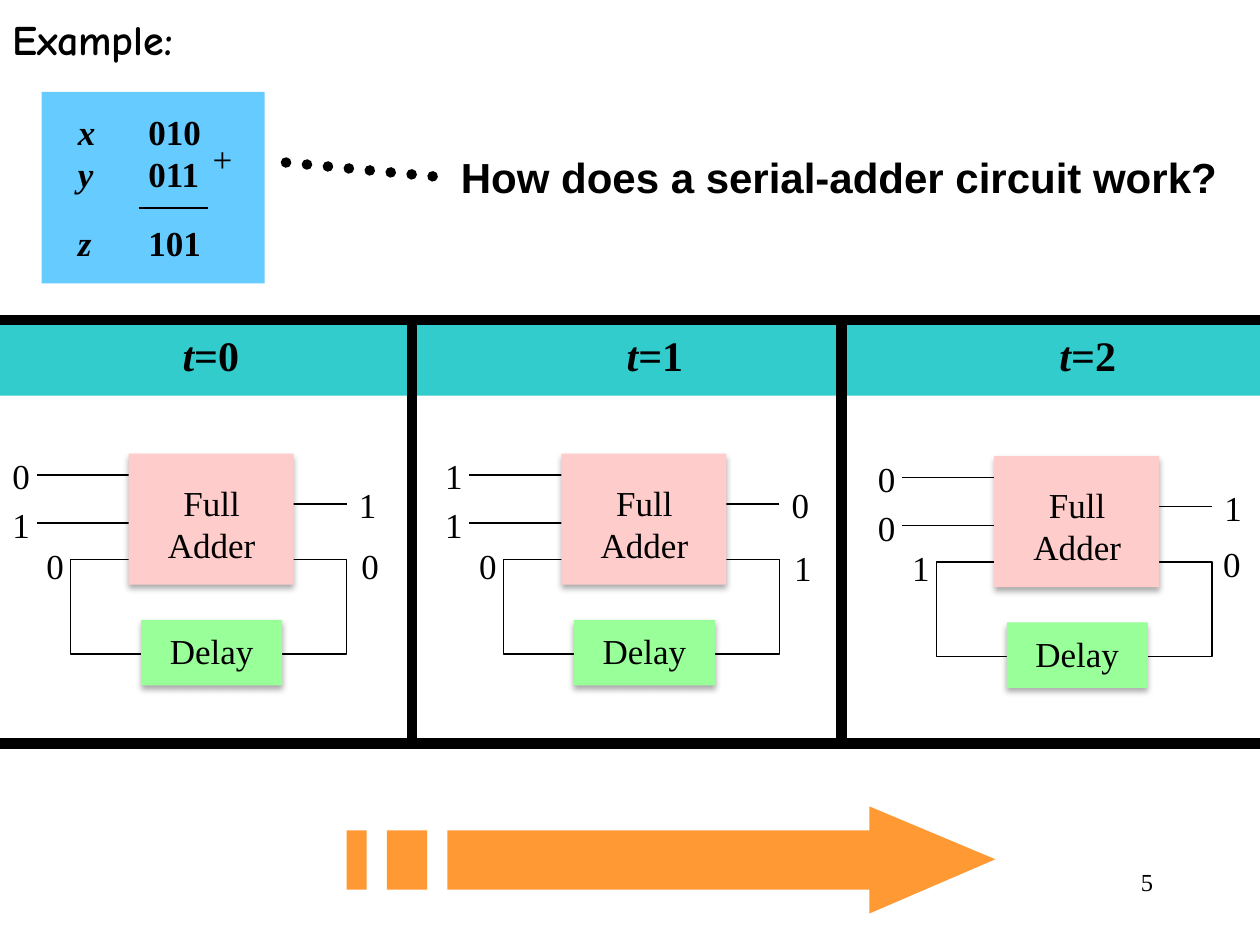
"""Build a slide that traces a serial adder through three clock steps."""
from lxml import etree
from pptx import Presentation
from pptx import util as u
from pptx.dml.color import RGBColor
from pptx.enum import shapes, text
from pptx.oxml import parse_xml
from pptx.oxml.ns import nsdecls, qn

THEME = {
    "ink": "000000", "header": "33CCCC", "sum": "66CCFF", "adder": "FFCCCC",
    "delay": "99FF99", "arrow": "FF9933",
    "serif": "Times New Roman", "sans": "Arial", "comic": "Comic Neue",
    "head": 24, "body": 20, "small": 14, "thin": 0.75, "thick": 6,
}
WIDTH, HEIGHT = 10, 7.5
PITCH = 3.435
TOP, BOTTOM = 2.54, 5.9
DIVIDERS = (3.27, 6.68)
DIGIT = (0.34, 0.43)

SUM_ROWS = [("x", "010", 1), ("y", "011", 1), ("z", "101", 1.64)]
STEPS = [
    dict(inputs="01", total="1", carry_in="0", carry_out="0", title_x=1.35, drop=0, carry_at=(2.77, 4.27)),
    dict(inputs="11", total="0", carry_in="0", carry_out="1", title_x=1.44, drop=0, carry_at=(2.77, 4.29)),
    dict(inputs="00", total="1", carry_in="1", carry_out="0", title_x=1.44, drop=0.02, carry_at=(2.74, 4.24)),
]
WIRES = [(0.29, 1.6, 3.77), (0.29, 1.6, 4.15), (1.43, 2.75, 4)]
ARROW = [
    [(6.9, 6.4), (6.9, 6.59), (3.55, 6.59), (3.55, 7.06), (6.9, 7.06), (6.9, 7.25), (7.9, 6.82)],
    [(3.07, 6.59), (3.07, 7.06), (3.39, 7.06), (3.39, 6.59)],
    [(2.75, 6.59), (2.75, 7.06), (2.91, 7.06), (2.91, 6.59)],
]


def inches(*values):
    return [u.Inches(value) for value in values]


def color(name):
    return RGBColor.from_string(THEME[name])


def add_text(paras, left, top, width, height, font="serif", size="body", bold=False,
             align="LEFT", wrap=False, spacings=(), tab=None):
    """Add a text box; each paragraph is a list of (words, italic) spans."""
    box = page.shapes.add_textbox(*inches(left, top, width, height))
    frame = box.text_frame
    frame.word_wrap = wrap
    frame.auto_size = text.MSO_AUTO_SIZE.SHAPE_TO_FIT_TEXT
    for index, spans in enumerate([(paras, False)] if isinstance(paras, str) else paras):
        para = frame.add_paragraph() if index else frame.paragraphs[0]
        para.alignment = getattr(text.PP_ALIGN, align)
        if spacings:
            para.line_spacing = float(spacings[index])
        if tab:
            stops = etree.SubElement(para._p.get_or_add_pPr(), qn("a:tabLst"))
            etree.SubElement(stops, qn("a:tab"), pos=str(u.Inches(tab)), algn="l")
        for words, italic in [spans] if isinstance(spans, tuple) else spans:
            span = para.add_run()
            span.text = words
            span.font.name, span.font.size = THEME[font], u.Pt(THEME[size])
            span.font.bold, span.font.italic = bold, italic
            span.font.color.rgb = color("ink")
    return box


def paint(shape, fill):
    shape.shadow.inherit = False
    shape.line.fill.background()
    shape.fill.solid()
    shape.fill.fore_color.rgb = color(fill)


def add_box(left, top, width, height, fill=None, shadow=False):
    box = page.shapes.add_shape(shapes.MSO_SHAPE.RECTANGLE, *inches(left, top, width, height))
    if fill:
        paint(box, fill)
    else:
        box.shadow.inherit = False
        box.fill.background()
        box.line.color.rgb = color("ink")
        box.line.width = u.Pt(THEME["thin"])
    if shadow:
        box._element.spPr.find(qn("a:effectLst")).append(parse_xml(
            f'<a:outerShdw {nsdecls("a")} blurRad="{u.Pt(3.5)}" dist="{u.Pt(2.2)}" dir="5400000" '
            f'rotWithShape="0"><a:srgbClr val="{THEME["ink"]}"><a:alpha val="32000"/></a:srgbClr></a:outerShdw>'))


def add_line(x1, y1, x2, y2, weight="thin", dotted=False):
    line = page.shapes.add_connector(shapes.MSO_CONNECTOR.STRAIGHT, *inches(x1, y1, x2, y2))
    line.line.color.rgb = color("ink")
    line.line.width = u.Pt(THEME[weight])
    if dotted:
        stroke = line.line._get_or_add_ln()
        stroke.set("cap", "rnd")
        etree.SubElement(stroke, qn("a:prstDash"), val="sysDot")
    etree.SubElement(line._element.spPr, qn("a:effectLst"))


def add_step(number, step):
    x, y = PITCH * number, step["drop"]
    add_box(x + 0.56, y + 4.44, 2.19, 0.75)
    for start, end, level in WIRES:
        add_line(x + end, y + level, x + start, y + level)
    add_box(x + 1.12, y + 4.92, 1.12, 0.52, "delay", shadow=True)
    add_text("Delay", x + 1.2, y + 4.95, 0.96, 0.43, align="CENTER")
    add_box(x + 1.02, y + 3.6, 1.31, 1.04, "adder", shadow=True)
    add_text([("Full", False), ("Adder", False)], x + 1.2, y + 3.77, 0.96, 0.77, align="CENTER")
    add_text([[("t", True), (f"={number}", False)]], x + step["title_x"], 2.57, 0.65, 0.5,
             size="head", bold=True)
    digits = [(step["inputs"][0], 0, 3.56), (step["inputs"][1], 0, 3.95), (step["total"], 2.75, 3.79),
              (step["carry_out"], *step["carry_at"]), (step["carry_in"], 0.27, 4.27)]
    for digit, left, top in digits:
        add_text(digit, x + left, y + top, *DIGIT)


def add_arrow():
    outlines = [[inches(*point) for point in outline] for outline in ARROW]
    builder = page.shapes.build_freeform(*outlines[0][0])
    for index, outline in enumerate(outlines):
        if index:
            builder.move_to(*outline[0])
        builder.add_line_segments(outline[1:], close=True)
    paint(builder.convert_to_shape(), "arrow")


deck = Presentation()
deck.slide_width, deck.slide_height = inches(WIDTH, HEIGHT)
page = deck.slides.add_slide(deck.slide_layouts[6])

add_text("5", 7.17, 6.83, 2.08, 0.5, size="small", align="RIGHT", wrap=True)
add_box(0, TOP, WIDTH, 0.6, "header")
add_text("Example:", 0, 0.06, 1.8, 0.5, font="comic", size="head", bold=True)

add_box(0.33, 0.73, 1.77, 1.52, "sum")
add_text([[(name, True), (f"\t{bits}", False)] for name, bits, _ in SUM_ROWS], 0.52, 0.83, 2.22, 1.33,
         bold=True, wrap=True, spacings=[row[2] for row in SUM_ROWS], tab=0.56)
add_line(1.1, 1.65, 1.65, 1.65)
add_text("+", 1.59, 1.04, 0.36, 0.43)
add_text("How does a serial-adder circuit work?", 3.56, 1.15, 6.44, 0.5, font="sans", size="head", bold=True)
add_line(2.27, 1.29, 3.44, 1.4, "thick", dotted=True)

for number, step in enumerate(STEPS):
    add_step(number, step)
add_arrow()

for x in DIVIDERS:
    add_line(x, TOP - 0.02, x, BOTTOM + 0.03, "thick")
for y in (TOP, BOTTOM):
    add_line(0, y, WIDTH, y, "thick")

deck.save("out.pptx")
